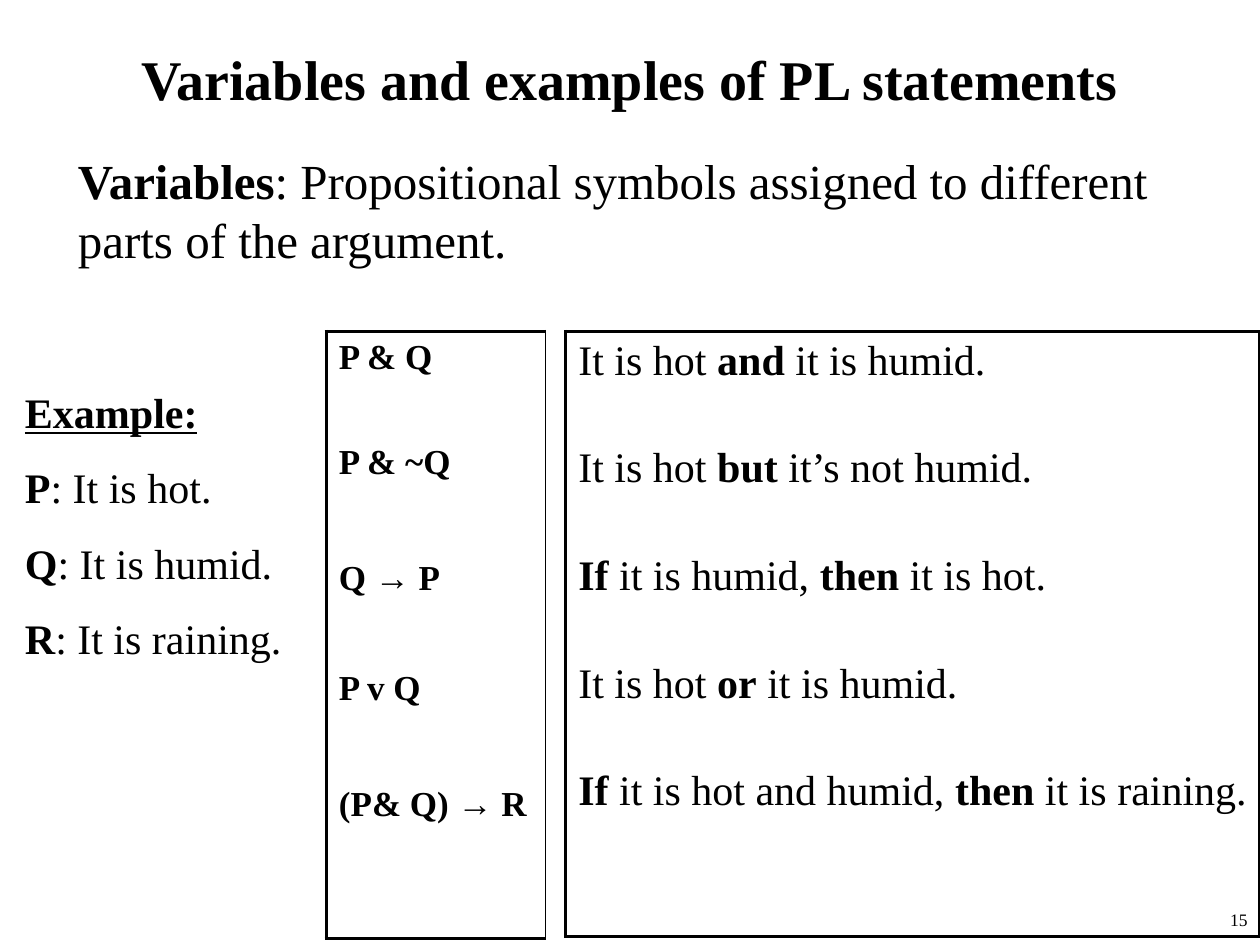
from pptx import Presentation
from pptx.dml.color import RGBColor
from pptx.enum.text import MSO_ANCHOR, PP_ALIGN
from pptx.oxml import parse_xml
from pptx.oxml.ns import nsdecls
from pptx.util import Pt

BLACK = RGBColor(0, 0, 0)
FONT = "Times New Roman"

# Words between asterisks are bold.
TITLE = "*Variables and examples of PL statements*"
DEFINITION = ["*Variables*: Propositional symbols assigned to different parts of the argument."]
EXAMPLE = ["*Example:*", "*P*: It is hot.", "*Q*: It is humid.", "*R*: It is raining."]
SENTENCES = [
    "It is hot *and* it is humid.",
    "It is hot *but* it’s not humid.",
    "*If* it is humid, *then* it is hot.",
    "It is hot *or* it is humid.",
    "*If* it is hot and humid, *then* it is raining.",
]
FORMULAS = ["*P & Q*", "*P & ~Q*", "*Q → P*", "*P v Q*", "*(P& Q) → R*"]
SLIDE_NUMBER = ["15"]

# Left, top, width, height
TITLE_BOX = (54, 28.8, 612, 31.7)
DEFINITION_BOX = (19.4, 82.8, 674.6, 54.7)
EXAMPLE_BOX = (7.2, 203, 163.4, 181.4)
NUMBER_BOX = (570.2, 516.2, 149.8, 23.8)
SENTENCE_BOX = (323.3, 189.4, 396.7, 345.6)
FORMULA_BOX = (186.5, 189.4, 125.3, 347)

SENTENCE_GAPS = [0, 35, 35, 35, 35]
FORMULA_GAPS = [0, 38, 44, 41, 44]
SENTENCE_BORDERS = {"L": 2.25, "R": 2.25, "T": 2.25, "B": 2.25}
FORMULA_BORDERS = {"L": 2.25, "R": 1, "T": 2.25, "B": 2.25}


def points(values):
    return [Pt(value) for value in values]


def write_runs(paragraph, text, size):
    """Add runs to the paragraph, bold between asterisks."""
    for index, part in enumerate(text.split("*")):
        if part:
            run = paragraph.add_run()
            run.text = part
            values = {"name": FONT, "size": Pt(size), "bold": index % 2 == 1}
            for name, value in values.items():
                setattr(run.font, name, value)
            run.font.color.rgb = BLACK


def write_lines(frame, lines, size, gaps=None, **paragraph_format):
    for index, line in enumerate(lines):
        paragraph = frame.add_paragraph() if index else frame.paragraphs[0]
        for name, value in paragraph_format.items():
            setattr(paragraph, name, value)
        if gaps:
            paragraph.space_before = Pt(gaps[index])
        write_runs(paragraph, line, size)


def add_text(slide, box, lines, size, wrap=True, **paragraph_format):
    frame = slide.shapes.add_textbox(*points(box)).text_frame
    frame.word_wrap = wrap
    write_lines(frame, lines, size, **paragraph_format)
    return frame


def add_framed_list(slide, box, lines, size, gaps, borders):
    """Add a one-cell table with its own border widths."""
    table = slide.shapes.add_table(1, 1, *points(box)).table
    table.first_row = table.horz_banding = False
    cell = table.cell(0, 0)
    cell.fill.background()
    write_lines(cell.text_frame, lines, size, gaps, alignment=PP_ALIGN.LEFT)
    properties = cell._tc.get_or_add_tcPr()
    for index, (side, width) in enumerate(borders.items()):
        properties.insert(index, parse_xml(
            f'<a:ln{side} {nsdecls("a")} w="{int(Pt(width))}">'
            f'<a:solidFill><a:srgbClr val="{BLACK}"/></a:solidFill></a:ln{side}>'))


def main():
    presentation = Presentation()
    presentation.slide_width, presentation.slide_height = points((720, 540))
    slide = presentation.slides.add_slide(presentation.slide_layouts[5])

    title = slide.shapes.title
    title.left, title.top, title.width, title.height = points(TITLE_BOX)
    title.text_frame.vertical_anchor = MSO_ANCHOR.MIDDLE
    write_lines(title.text_frame, [TITLE], 32, alignment=PP_ALIGN.CENTER)

    definition = add_text(slide, DEFINITION_BOX, DEFINITION, 28, line_spacing=Pt(33.4))
    definition.margin_left = Pt(25.2)
    add_framed_list(slide, SENTENCE_BOX, SENTENCES, 24, SENTENCE_GAPS, SENTENCE_BORDERS)
    example = add_text(slide, EXAMPLE_BOX, EXAMPLE, 24, wrap=False, line_spacing=Pt(43.1))
    example.paragraphs[0].runs[0].font.underline = True
    add_framed_list(slide, FORMULA_BOX, FORMULAS, 20, FORMULA_GAPS, FORMULA_BORDERS)
    add_text(slide, NUMBER_BOX, SLIDE_NUMBER, 10, alignment=PP_ALIGN.RIGHT)

    presentation.save("out.pptx")


if __name__ == "__main__":
    main()
